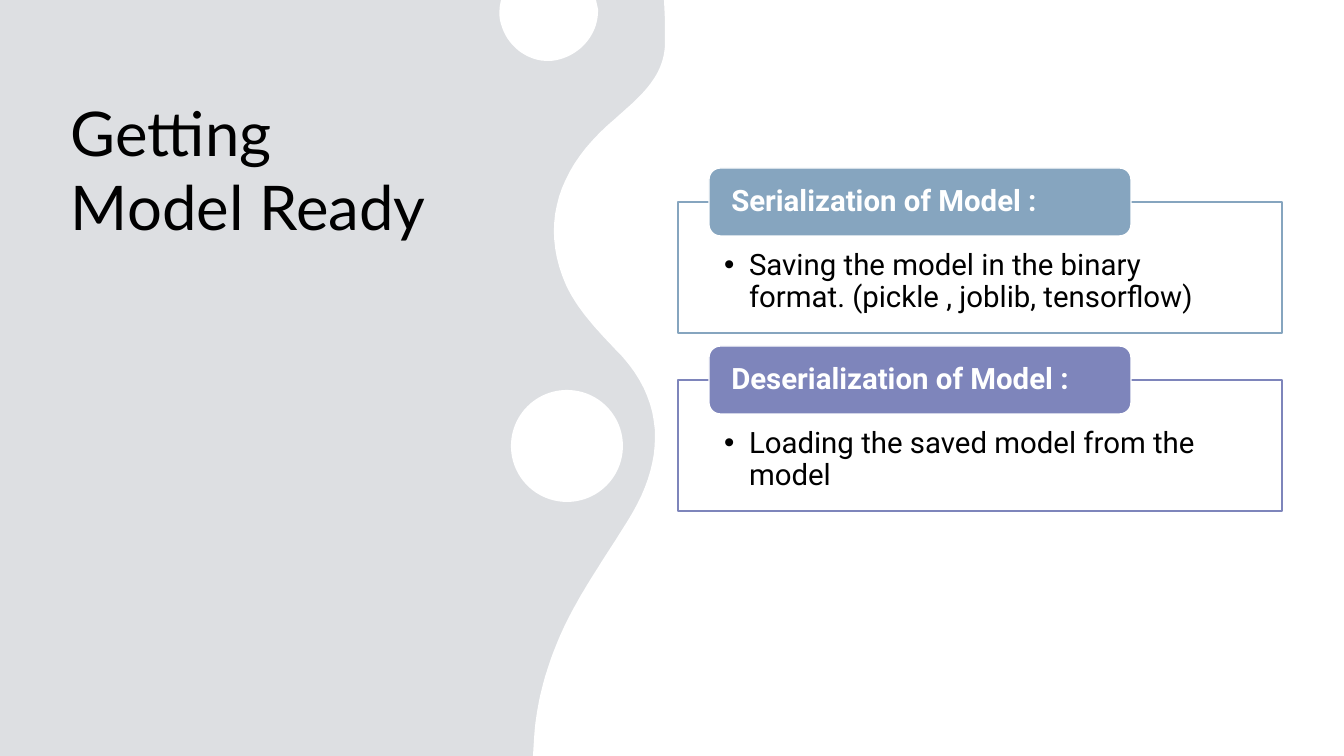
import lxml.etree
import pptx
import pptx.dml.color
import pptx.enum.shapes
import pptx.enum.text
import pptx.oxml.ns
import pptx.util

PX = 914400 / 100.8
WIDTH, HEIGHT = 1344, 756
SHAPES = pptx.enum.shapes.MSO_SHAPE
TEXT = pptx.enum.text
THEME = {
    "panel": "DDDFE2", "white": "FFFFFF", "ink": "000000",
    "blue": "86A5BF", "violet": "7E85BB",
    "title_font": "Lato", "text_font": "Roboto",
    "title_size": pptx.util.Pt(44), "text_size": pptx.util.Pt(21),
    "border": pptx.util.Pt(1),
}


def paint(shape, fill, line=None):
    """Give a shape a flat fill and an optional border."""
    shape.fill.solid()
    shape.fill.fore_color.rgb = pptx.dml.color.RGBColor.from_string(THEME[fill])
    if line:
        shape.line.color.rgb = pptx.dml.color.RGBColor.from_string(THEME[line])
        shape.line.width = THEME["border"]
    else:
        shape.line.fill.background()


def write(shape, words, place, insets, anchor, color, spacing, bullet=None, **font):
    """Place a shape and fill it with one formatted paragraph."""
    formats = [(shape, dict(zip(("left", "top", "width", "height"),
                                (round(length * PX) for length in place))))]
    box = shape.text_frame
    box.text = words
    margins = ("margin_left", "margin_top", "margin_right", "margin_bottom")
    formats.append((box, dict(zip(margins, (round(inset * PX) for inset in insets)))))
    formats.append((box, {"word_wrap": True, "vertical_anchor": anchor,
                          "auto_size": TEXT.MSO_AUTO_SIZE.NONE}))
    para = box.paragraphs[0]
    if bullet:
        settings = para._p.get_or_add_pPr()
        settings.set("marL", str(round(25 * PX)))
        settings.set("indent", str(round(-25 * PX)))
        mark = lxml.etree.SubElement(settings, pptx.oxml.ns.qn("a:buChar"))
        mark.set("char", bullet)
    formats.append((para, {"alignment": TEXT.PP_ALIGN.LEFT, "line_spacing": spacing,
                           "space_before": pptx.util.Pt(0)}))
    span = para.runs[0]
    formats.append((span.font, font))
    for target, values in formats:
        for name, value in values.items():
            setattr(target, name, value)
    span.font.color.rgb = pptx.dml.color.RGBColor.from_string(THEME[color])


deck = pptx.Presentation()
deck.slide_width, deck.slide_height = round(WIDTH * PX), round(HEIGHT * PX)
page = deck.slides.add_slide(deck.slide_layouts.get_by_name("Two Content"))
title, *lists = page.placeholders
page.background.fill.solid()
page.background.fill.fore_color.rgb = pptx.dml.color.RGBColor.from_string(THEME["panel"])

# Two numbers make a straight step, six make a Bezier curve.
wave = [
    (WIDTH, 0), (WIDTH, HEIGHT), (533, HEIGHT), (534, 740),
    (536, 702, 547, 663, 565, 625), (584, 586, 611, 549, 633, 512),
    (664, 458, 666, 399, 615, 349), (597, 330, 577, 309, 566, 285),
    (539, 224, 558, 166, 616, 118), (638, 98, 663, 79, 665, 46),
    (665, 37, 665, 29, 665, 20), (664, 0),
]
top_circle = [
    (501, 0), (596, 0), (598, 9), (599, 31, 584, 52, 561, 59),
    (535, 67, 508, 50, 501, 24), (499, 18, 499, 11, 500, 5),
]
for outline in (wave, top_circle):
    points = [outline[0]]
    for step in outline[1:]:
        if len(step) == 2:
            points.append(step)
            continue
        x0, y0 = points[-1]
        x1, y1, x2, y2, x3, y3 = step
        for tick in range(1, 21):
            t = tick / 20
            u = 1 - t
            a, b, c, d = u ** 3, 3 * u * u * t, 3 * u * t * t, t ** 3
            points.append((a * x0 + b * x1 + c * x2 + d * x3,
                           a * y0 + b * y1 + c * y2 + d * y3))
    # Ten units to a pixel keep the curves smooth.
    points = [(round(x * 10), round(y * 10)) for x, y in points]
    builder = page.shapes.build_freeform(*points[0], scale=PX / 10)
    builder.add_line_segments(points[1:])
    area = builder.convert_to_shape()
    area.shadow.inherit = False
    paint(area, "white")

circle = page.shapes.add_shape(SHAPES.OVAL, *(round(n * PX) for n in (511, 390, 112, 112)))
circle.shadow.inherit = False
paint(circle, "white")

# Placeholders come first in the page, so each moves in front of the wave.
layers = title.element.getparent()
layers.append(title.element)
write(title, "Getting Model Ready", (61, 90, 408, 597), (10, 5, 30, 5),
      TEXT.MSO_ANCHOR.TOP, "ink", 1.0,
      name=THEME["title_font"], size=THEME["title_size"])

topics = [
    ("Serialization of Model :",
     "Saving the model in the binary format. (pickle , joblib, tensorflow)", "blue"),
    ("Deserialization of Model :", "Loading the saved model from the model", "violet"),
]
body_font = {"name": THEME["text_font"], "size": THEME["text_size"]}
for row, (card, (heading, detail, color)) in enumerate(zip(lists, topics)):
    top = 202 + row * 178
    layers.append(card.element)
    paint(card, "white", color)
    write(card, detail, (678, top, 604, 131), (46, 48, 46, 16),
          TEXT.MSO_ANCHOR.TOP, "ink", 0.9, "•", **body_font)
    tab = page.shapes.add_shape(SHAPES.ROUNDED_RECTANGLE, 0, 0, 0, 0)
    tab.shadow.inherit = False
    paint(tab, color, "white")
    write(tab, heading, (709, top - 34, 422, 68), (19, 0, 19, 0),
          TEXT.MSO_ANCHOR.MIDDLE, "white", 0.9, bold=True, **body_font)

deck.save("out.pptx")
